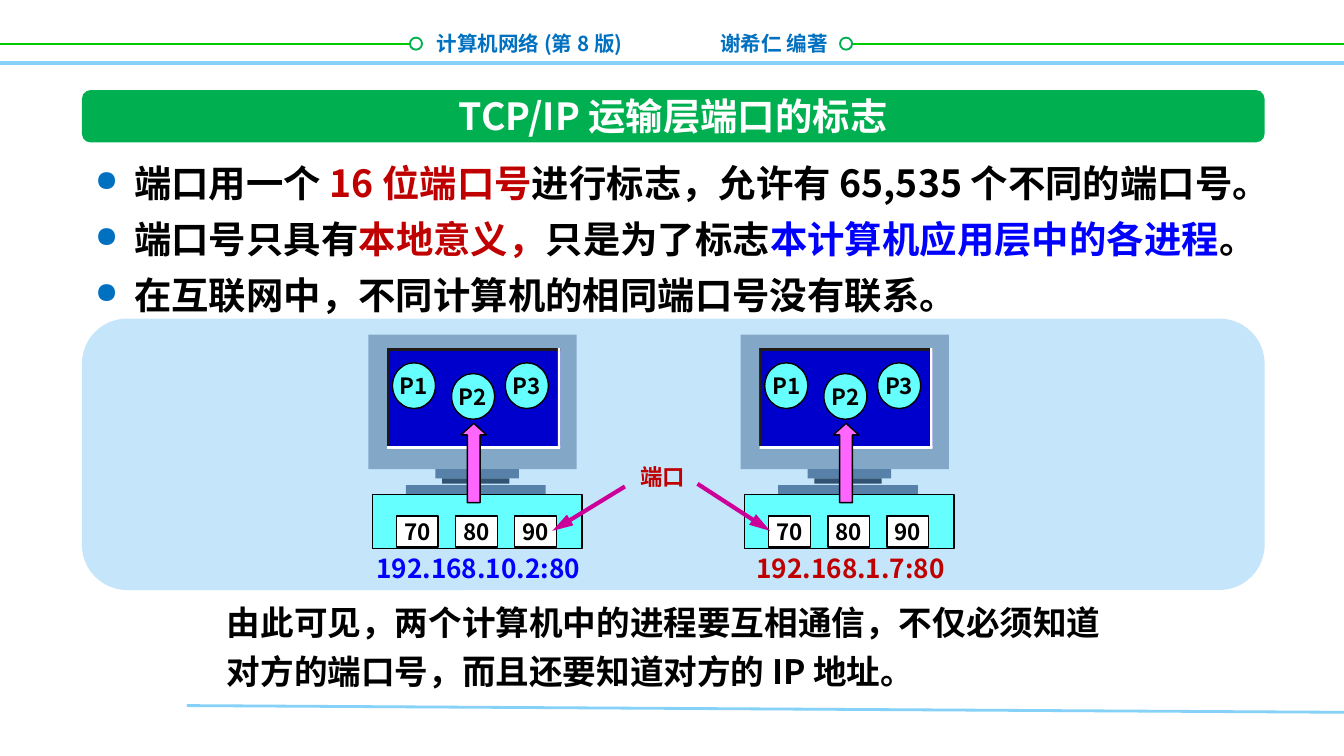
from lxml import etree
from pptx import Presentation
from pptx.dml.color import RGBColor
from pptx.enum.shapes import MSO_CONNECTOR, MSO_SHAPE
from pptx.enum.text import MSO_ANCHOR, PP_ALIGN
from pptx.oxml.ns import qn
from pptx.util import Inches, Pt

FONT = "Noto Sans CJK SC"
WHITE = RGBColor(0xFF, 0xFF, 0xFF)
BLACK = RGBColor(0x00, 0x00, 0x00)
RED = RGBColor(0xC0, 0x00, 0x00)
BLUE = RGBColor(0x00, 0x00, 0xFF)
HEADER_BLUE = RGBColor(0x00, 0x70, 0xC0)
SKY = RGBColor(0x85, 0xD1, 0xF7)
PANEL = RGBColor(0xC5, 0xE5, 0xFB)
LIME = RGBColor(0x00, 0xCC, 0x00)
GREEN = RGBColor(0x00, 0xB0, 0x50)
SCREEN = RGBColor(0x00, 0x00, 0xCC)
CASE = RGBColor(0x83, 0xA7, 0xC6)
STAND = RGBColor(0x57, 0x81, 0xA9)
STAND_DARK = RGBColor(0x32, 0x53, 0x73)
EDGE_DARK = RGBColor(0x1F, 0x1A, 0x17)
CYAN = RGBColor(0x66, 0xFF, 0xFF)
PINK = RGBColor(0xFF, 0x66, 0xFF)
MAGENTA = RGBColor(0xCC, 0x00, 0x99)

BULLETS = [
    [("端口用一个 ", BLACK), ("16 位端口号", RED),
     ("进行标志，允许有 65,535 个不同的端口号。", BLACK)],
    [("端口号只具有", BLACK), ("本地意义，", RED), ("只是为了标志", BLACK),
     ("本计算机应用层中的各进程", BLUE), ("。", BLACK)],
    [("在互联网中，不同计算机的相同端口号没有联系。", BLACK)],
]
CONCLUSION = "由此可见，两个计算机中的进程要互相通信，不仅必须知道对方的端口号，而且还要知道对方的 IP 地址。"


def add_run(paragraph, text, size, color):
    run = paragraph.add_run()
    run.text = text
    font = run.font
    font.name, font.size, font.bold = FONT, Pt(size), True
    font.color.rgb = color
    east_asian = etree.SubElement(run._r.get_or_add_rPr(), qn("a:ea"))
    east_asian.set("typeface", FONT)


def add_text(shapes, box, text, size, color, align=PP_ALIGN.LEFT, wrap=True):
    frame = shapes.add_textbox(*map(Inches, box)).text_frame
    frame.word_wrap = wrap
    paragraph = frame.paragraphs[0]
    paragraph.alignment = align
    add_run(paragraph, text, size, color)
    return paragraph


def style_shape(shape, fill, line=None, width=0.75):
    shape.shadow.inherit = False
    shape.fill.solid()
    shape.fill.fore_color.rgb = fill
    if line is None:
        shape.line.fill.background()
    else:
        shape.line.color.rgb = line
        shape.line.width = Pt(width)


def add_shape(shapes, kind, box, fill, line=None, width=0.75):
    shape = shapes.add_shape(kind, *map(Inches, box))
    style_shape(shape, fill, line, width)
    return shape


def add_labelled_shape(shapes, kind, box, fill, label):
    frame = add_shape(shapes, kind, box, fill, BLACK).text_frame
    frame.margin_left = frame.margin_right = frame.margin_top = frame.margin_bottom = 0
    frame.word_wrap = False
    frame.vertical_anchor = MSO_ANCHOR.MIDDLE
    frame.paragraphs[0].alignment = PP_ALIGN.CENTER
    add_run(frame.paragraphs[0], label, 12, BLACK)


def add_line(shapes, start, end, color, width, arrow=False):
    line = shapes.add_connector(MSO_CONNECTOR.STRAIGHT, *map(Inches, start + end))
    line.line.color.rgb = color
    line.line.width = Pt(width)
    if arrow:
        head = etree.SubElement(line.line._get_or_add_ln(), qn("a:tailEnd"))
        head.set("type", "triangle")
        head.set("len", "lg")
    etree.SubElement(line._element.spPr, qn("a:effectLst"))


def add_monitor_case(shapes, left):
    """Draw the monitor frame with an opening for the screen."""
    def corners(x1, y1, x2, y2):
        points = [(x1, y1), (x2, y1), (x2, y2), (x1, y2)]
        return [(Inches(left + x), Inches(y)) for x, y in points]

    outer = corners(0, 2.49, 1.55, 3.49)
    opening = corners(0.14, 2.59, 1.43, 3.34)
    builder = shapes.build_freeform(*outer[0])
    builder.add_line_segments(outer[1:], close=True)
    builder.move_to(*opening[0])
    builder.add_line_segments(opening[1:], close=True)
    style_shape(builder.convert_to_shape(), CASE)


def add_computer(slide, left, address, address_color):
    shapes = slide.shapes.add_group_shape().shapes
    rectangle = MSO_SHAPE.RECTANGLE
    add_shape(shapes, rectangle, (left + 0.1, 2.57, 1.36, 0.79), SCREEN)
    add_monitor_case(shapes, left)
    for x, top, width, height, color in [
        (0.14, 2.59, 1.29, 0.02, EDGE_DARK), (0.14, 2.6, 0.02, 0.73, EDGE_DARK),
        (1.41, 2.59, 0.02, 0.74, WHITE), (0.14, 3.32, 1.29, 0.02, WHITE),
        (0.5, 3.49, 0.62, 0.07, STAND), (0.55, 3.56, 0.5, 0.04, STAND_DARK),
        (0.28, 3.61, 1.04, 0.08, STAND),
    ]:
        add_shape(shapes, rectangle, (left + x, top, width, height), color)

    add_shape(shapes, rectangle, (left + 0.03, 3.68, 1.56, 0.4), CYAN, BLACK)
    for index, port in enumerate(("70", "80", "90")):
        box = (left + 0.21 + 0.44 * index, 3.84, 0.31, 0.23)
        add_labelled_shape(shapes, rectangle, box, WHITE, port)
    for process, x, top in (("P2", 0.62, 2.78), ("P1", 0.18, 2.7), ("P3", 1.02, 2.7)):
        add_labelled_shape(shapes, MSO_SHAPE.OVAL, (left + x, top, 0.32, 0.34), CYAN, process)

    arrow = add_shape(shapes, MSO_SHAPE.UP_ARROW, (left + 0.69, 3.15, 0.19, 0.59), PINK, BLACK)
    arrow.adjustments[0], arrow.adjustments[1] = 0.5, 0.45
    add_text(shapes, (left - 0.06, 4.06, 1.76, 0.34), address, 14, address_color,
             PP_ALIGN.CENTER, wrap=False)


def add_header_and_footer(shapes):
    add_line(shapes, (1.39, 5.25), (10, 5.3), SKY, 1.5)
    add_line(shapes, (0, 0.47), (10, 0.47), SKY, 2)
    add_text(shapes, (5.26, 0.18, 1.16, 0.29), "谢希仁 编著", 11, HEADER_BLUE)
    add_text(shapes, (3.1, 0.18, 1.63, 0.29), "计算机网络 (第 8 版)", 11, HEADER_BLUE,
             PP_ALIGN.RIGHT)
    for start, end, circle_left in ((0, 3.1, 3.05), (6.25, 10, 6.25)):
        add_line(shapes, (start, 0.33), (end, 0.33), LIME, 1)
        add_shape(shapes, MSO_SHAPE.OVAL, (circle_left, 0.28, 0.09, 0.09), WHITE, GREEN, 1)


def add_title(slide):
    bar = add_shape(slide.shapes, MSO_SHAPE.ROUNDED_RECTANGLE, (0.61, 0.67, 8.8, 0.39), GREEN)
    bar.adjustments[0] = 0.167
    title = slide.shapes.title
    title.left, title.top, title.width, title.height = map(Inches, (3.27, 0.64, 3.48, 0.44))
    title.text_frame.word_wrap = False
    title.text_frame.vertical_anchor = MSO_ANCHOR.TOP
    paragraph = title.text_frame.paragraphs[0]
    paragraph.alignment = PP_ALIGN.CENTER
    add_run(paragraph, "TCP/IP 运输层端口的标志", 20, WHITE)
    bar._element.addnext(title._element)


def add_bullets(shapes):
    frame = shapes.add_textbox(*map(Inches, (0.61, 1.06, 8.95, 1.36))).text_frame
    frame.word_wrap = True
    for index, runs in enumerate(BULLETS):
        paragraph = frame.add_paragraph() if index else frame.paragraphs[0]
        properties = paragraph._p.get_or_add_pPr()
        properties.set("marL", str(Inches(0.29)))
        properties.set("indent", str(Inches(-0.29)))
        bullet_color = etree.SubElement(properties, qn("a:buClr"))
        etree.SubElement(bullet_color, qn("a:srgbClr")).set("val", str(HEADER_BLUE))
        etree.SubElement(properties, qn("a:buSzPct")).set("val", "78000")
        etree.SubElement(properties, qn("a:buChar")).set("char", "●")
        paragraph.line_spacing = Pt(30)
        for text, color in runs:
            add_run(paragraph, text, 20, color)


def main():
    presentation = Presentation()
    presentation.slide_width = Inches(10)
    presentation.slide_height = Inches(10) * 9 // 16
    slide = presentation.slides.add_slide(presentation.slide_layouts[5])
    shapes = slide.shapes

    add_header_and_footer(shapes)
    add_shape(shapes, MSO_SHAPE.ROUNDED_RECTANGLE, (0.61, 2.37, 8.8, 2.02), PANEL)
    add_title(slide)
    add_bullets(shapes)
    add_computer(slide, 5.51, "192.168.1.7:80", RED)
    add_computer(slide, 2.74, "192.168.10.2:80", BLUE)
    add_text(shapes, (4.66, 3.4, 0.54, 0.3), "端口", 12, RED, PP_ALIGN.CENTER, wrap=False)
    add_line(shapes, (4.65, 3.62), (4.11, 3.95), MAGENTA, 2.25, arrow=True)
    add_line(shapes, (5.19, 3.6), (5.73, 3.95), MAGENTA, 2.25, arrow=True)
    conclusion = add_text(shapes, (1.59, 4.37, 6.89, 0.83), CONCLUSION, 18, BLACK)
    conclusion.line_spacing = Pt(26)
    presentation.save("out.pptx")


if __name__ == "__main__":
    main()
